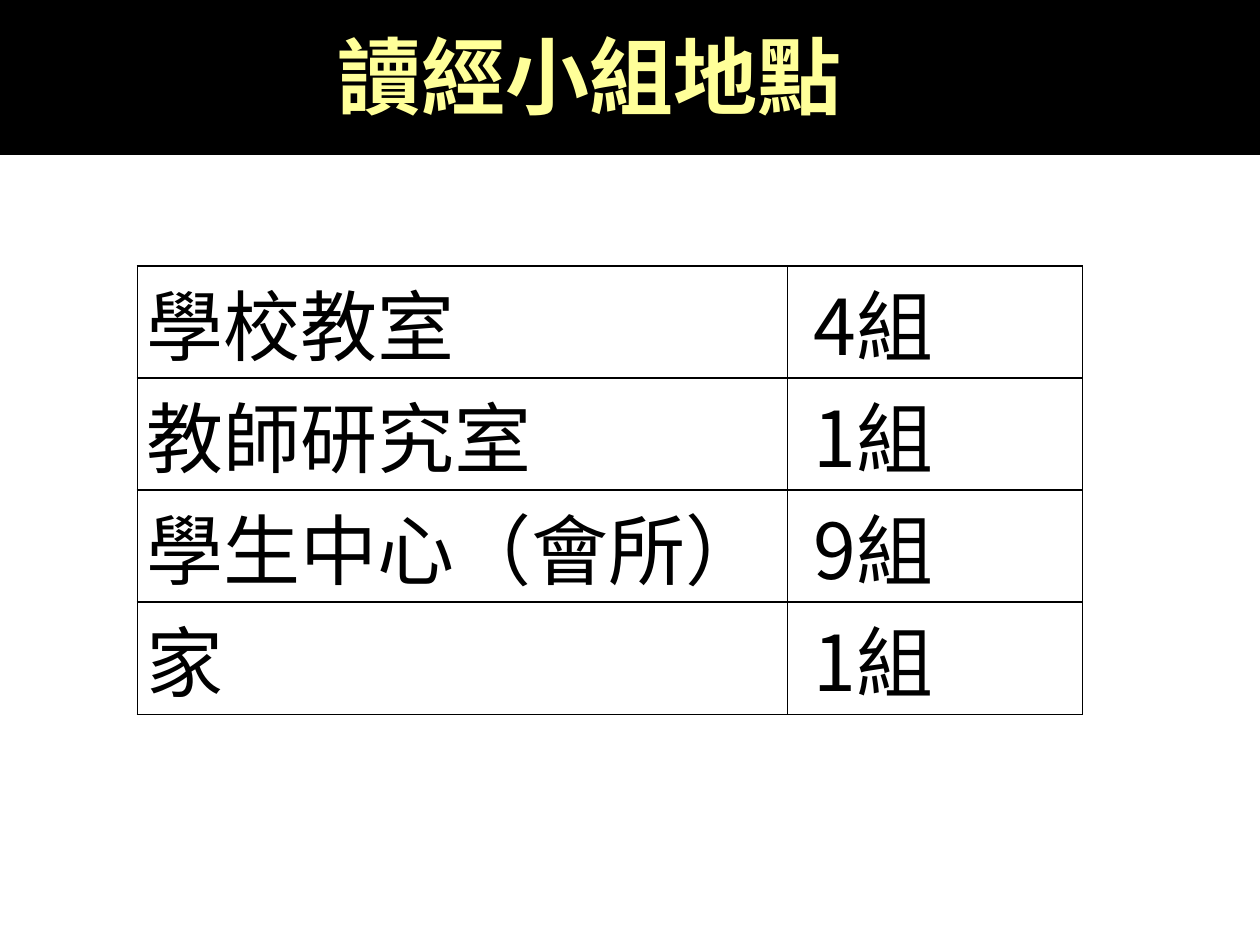
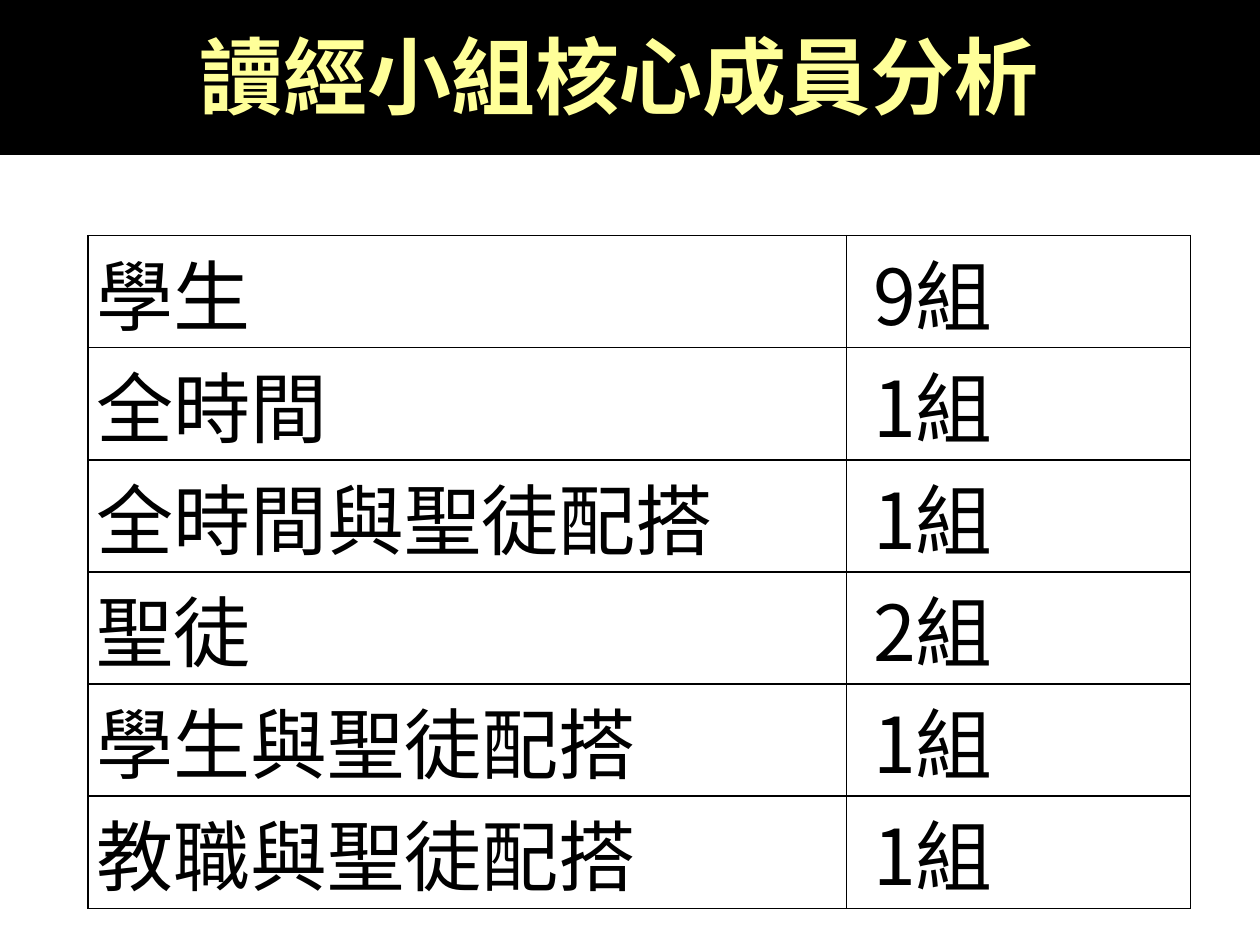
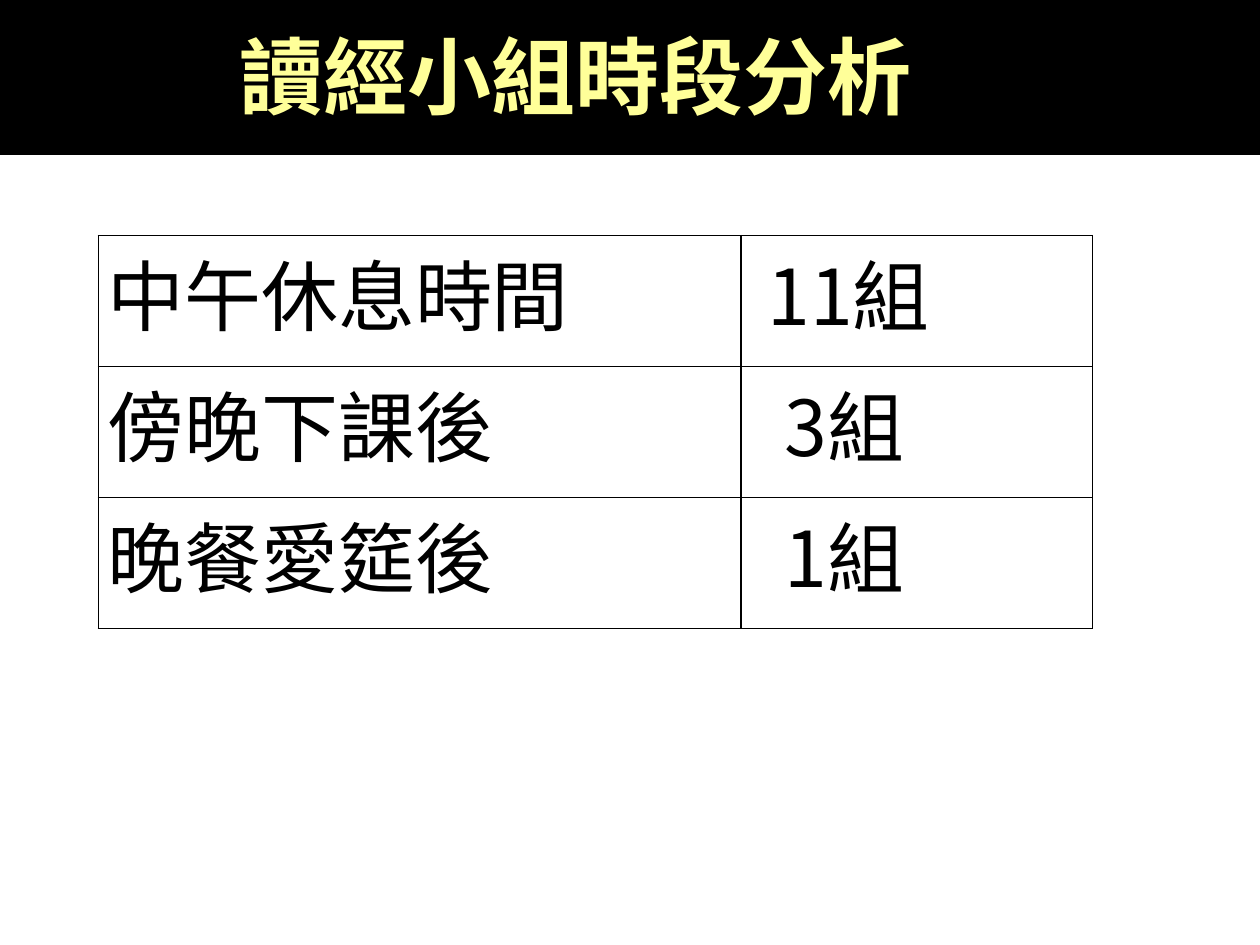
import pptx
import pptx.dml.color
import pptx.enum.shapes
import pptx.enum.text
import pptx.oxml
import pptx.oxml.ns
import pptx.util
from dataclasses import dataclass

Inches = pptx.util.Inches
Pt = pptx.util.Pt


@dataclass(frozen=True)
class Theme:
    font: str = "Noto Sans CJK SC"
    black: str = "000000"
    title_color: str = "FFFF99"
    title_size: int = 48
    cell_size: int = 44
    border_width: int = 1


THEME = Theme()
PAGE_WIDTH, PAGE_HEIGHT = 10, 7.5
BAND_HEIGHT = 1.23
CELL_MARGIN = 0.07
DIGIT_INDENT = 0.14
TITLE_ONLY_LAYOUT = 5
BORDER_SIDES = ("lnL", "lnR", "lnT", "lnB")

SLIDES = [
    {
        "title": "讀經小組地點",
        "title_left": 2.58,
        "title_width": 5.55,
        "table_at": (1.09, 2.11),
        "columns": (5.16, 2.34),
        "row_height": 0.89,
        "rows": [
            ("學校教室", 4),
            ("教師研究室", 1),
            ("學生中心（會所）", 9),
            ("家", 1),
        ],
    },
    {
        "title": "讀經小組核心成員分析",
        "title_left": 1.48,
        "title_width": 7.34,
        "table_at": (0.7, 1.87),
        "columns": (6.02, 2.73),
        "row_height": 0.89,
        "rows": [
            ("學生", 9),
            ("全時間", 1),
            ("全時間與聖徒配搭", 1),
            ("聖徒", 2),
            ("學生與聖徒配搭", 1),
            ("教職與聖徒配搭", 1),
        ],
    },
    {
        "title": "讀經小組時段分析",
        "title_left": 1.8,
        "title_width": 7.34,
        "table_at": (0.78, 1.87),
        "columns": (5.1, 2.79),
        "row_height": 1.04,
        "rows": [
            ("中午休息時間", 11),
            ("傍晚下課後", 3),
            ("晚餐愛筵後", 1),
        ],
    },
]


def rgb(color):
    return pptx.dml.color.RGBColor.from_string(color)


def drawing_element(tag, attributes, content=""):
    namespace = pptx.oxml.ns.nsdecls("a")
    return pptx.oxml.parse_xml(
        f"<a:{tag} {namespace} {attributes}>{content}</a:{tag}>"
    )


def write_text(frame, text, size, color, bold=False):
    frame.text = text
    para = frame.paragraphs[0]
    para.alignment = pptx.enum.text.PP_ALIGN.LEFT
    span = para.runs[0]
    span.font.name = THEME.font
    span.font.size = Pt(size)
    span.font.bold = bold
    span.font.color.rgb = rgb(color)
    latin = span._r.rPr.find(pptx.oxml.ns.qn("a:latin"))
    latin.addnext(drawing_element("ea", f'typeface="{THEME.font}"'))


def fill_black(shape):
    shape.fill.solid()
    shape.fill.fore_color.rgb = rgb(THEME.black)
    shape.line.fill.background()


def add_band(page):
    band = page.shapes.add_shape(
        pptx.enum.shapes.MSO_SHAPE.RECTANGLE,
        0, 0, Inches(PAGE_WIDTH), Inches(BAND_HEIGHT),
    )
    band.shadow.inherit = False
    fill_black(band)
    return band


def place_title(title, text, left, width):
    title.left, title.top = Inches(left), 0
    title.width, title.height = Inches(width), Inches(BAND_HEIGHT)
    fill_black(title)
    frame = title.text_frame
    frame.auto_size = pptx.enum.text.MSO_AUTO_SIZE.NONE
    frame.word_wrap = True
    frame.vertical_anchor = pptx.enum.text.MSO_ANCHOR.MIDDLE
    frame.margin_left = frame.margin_right = Inches(0.1)
    frame.margin_top, frame.margin_bottom = Inches(0.01), Inches(0.05)
    write_text(frame, text, THEME.title_size, THEME.title_color, bold=True)


def add_header(page, content):
    band = add_band(page)
    title = page.shapes.title
    band.element.addnext(title.element)
    place_title(
        title, content["title"], content["title_left"], content["title_width"]
    )


def add_borders(cell):
    properties = cell._tc.get_or_add_tcPr()
    line_fill = f'<a:solidFill><a:srgbClr val="{THEME.black}"/></a:solidFill>'
    for position, side in enumerate(BORDER_SIDES):
        border = drawing_element(side, f'w="{Pt(THEME.border_width)}"', line_fill)
        properties.insert(position, border)


def fill_cell(cell, text, indent=0):
    cell.fill.background()
    cell.margin_left = Inches(CELL_MARGIN + indent)
    cell.margin_right = Inches(CELL_MARGIN)
    cell.margin_top = cell.margin_bottom = 0
    write_text(cell.text_frame, text, THEME.cell_size, THEME.black)
    add_borders(cell)


def count_indents(counts):
    lengths = [len(str(count)) for count in counts]
    longest = max(lengths)
    return [DIGIT_INDENT * (1 + longest - length) for length in lengths]


def add_count_table(page, content):
    rows, columns = content["rows"], content["columns"]
    left, top = content["table_at"]
    height = content["row_height"] * len(rows)
    table = page.shapes.add_table(
        len(rows), len(columns),
        Inches(left), Inches(top), Inches(sum(columns)), Inches(height),
    ).table
    table.first_row = False
    table.horz_banding = False
    for column, width in zip(table.columns, columns):
        column.width = Inches(width)

    indents = count_indents([count for _, count in rows])
    for row, (label, count), indent in zip(table.rows, rows, indents):
        label_cell, count_cell = row.cells
        fill_cell(label_cell, label)
        fill_cell(count_cell, f"{count}組", indent)


def main():
    deck = pptx.Presentation()
    deck.slide_width = Inches(PAGE_WIDTH)
    deck.slide_height = Inches(PAGE_HEIGHT)
    layout = deck.slide_layouts[TITLE_ONLY_LAYOUT]
    for content in SLIDES:
        page = deck.slides.add_slide(layout)
        add_header(page, content)
        add_count_table(page, content)
    deck.save("out.pptx")


if __name__ == "__main__":
    main()
